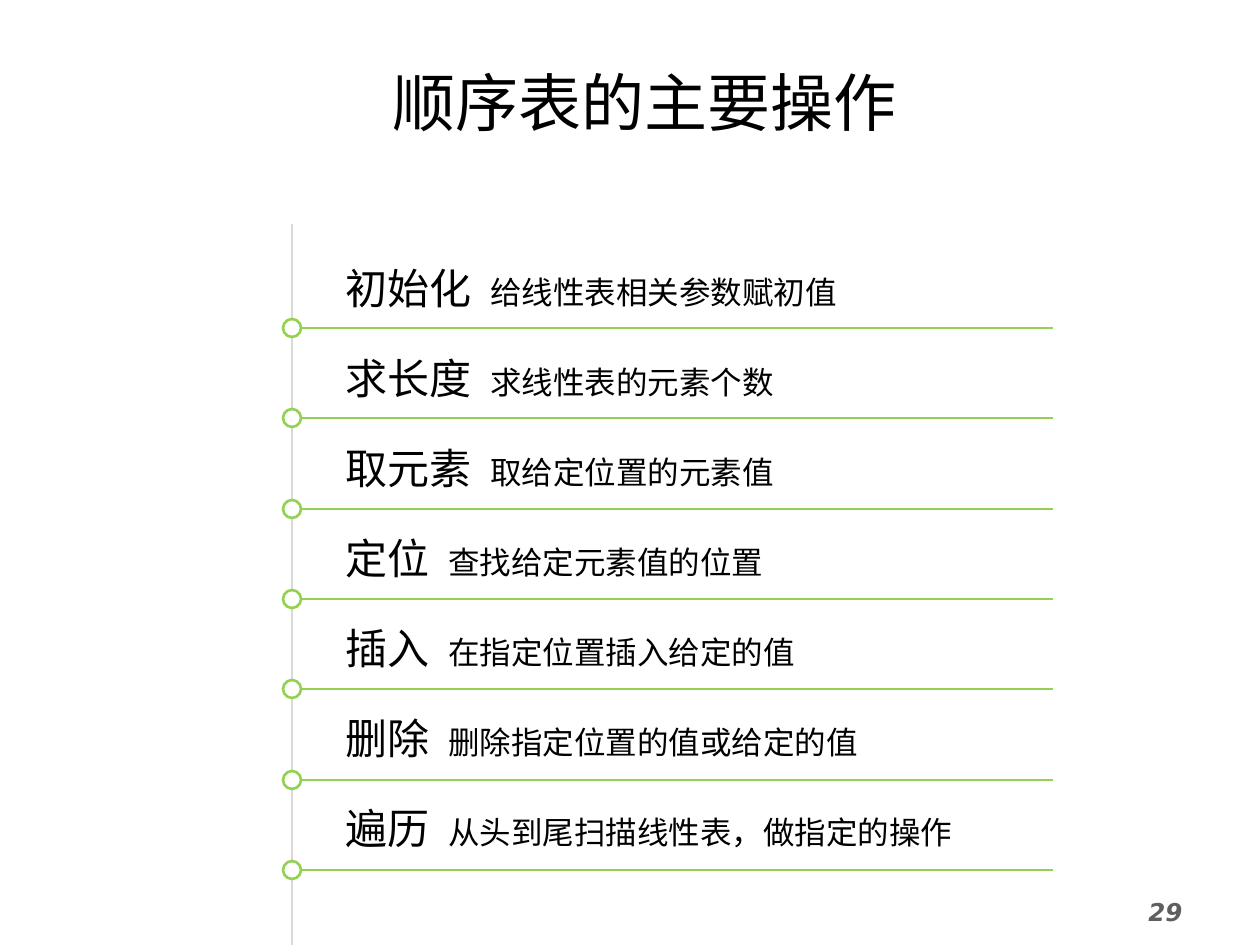
from lxml import etree
from pptx import Presentation
from pptx import util as u
from pptx.dml.color import RGBColor
from pptx.enum import shapes, text
from pptx.oxml.ns import qn

PX = 914400 / 126
GREEN, GREY, BLACK, WHITE = "93D151", "D9D9D9", "000000", "FFFFFF"
CJK = "Noto Sans CJK SC"

AXIS_X, LINE_END = 292, 1053
FIRST_LINE, LAST_LINE = 328, 870
FIRST_TEXT, TEXT_STEP = 256, 90
DOT = 18

OPERATIONS = [
    ("初始化", "给线性表相关参数赋初值"),
    ("求长度", "求线性表的元素个数"),
    ("取元素", "取给定位置的元素值"),
    ("定位", "查找给定元素值的位置"),
    ("插入", "在指定位置插入给定的值"),
    ("删除", "删除指定位置的值或给定的值"),
    ("遍历", "从头到尾扫描线性表，做指定的操作"),
]


def px(*lengths):
    return [u.Emu(round(length * PX)) for length in lengths]


def colour(value):
    return RGBColor.from_string(value)


def add_text(paragraph, words, size, font=CJK, fill=BLACK, bold=False, italic=False, spacing=0):
    run = paragraph.add_run()
    run.text = words
    run.font.size = u.Pt(size)
    run.font.name = font
    run.font.bold = bold
    run.font.italic = italic
    run.font.color.rgb = colour(fill)
    properties = run._r.get_or_add_rPr()
    etree.SubElement(properties, qn("a:ea")).set("typeface", CJK)
    if spacing:
        properties.set("spc", str(round(spacing * 100)))


def add_box(slide, left, top, width, height):
    shape = slide.shapes.add_textbox(*px(left, top, width, height))
    shape.text_frame.word_wrap = True
    return shape.text_frame.paragraphs[0]


def add_line(slide, start, end, stroke, weight):
    line = slide.shapes.add_connector(shapes.MSO_CONNECTOR.STRAIGHT, *px(*start, *end))
    line.line.color.rgb = colour(stroke)
    line.line.width = u.Pt(weight)
    etree.SubElement(line._element.spPr, qn("a:effectLst"))


def add_dot(slide, x, y):
    dot = slide.shapes.add_shape(
        shapes.MSO_SHAPE.OVAL, *px(x - DOT / 2, y - DOT / 2, DOT, DOT))
    dot.shadow.inherit = False
    dot.fill.solid()
    dot.fill.fore_color.rgb = colour(WHITE)
    dot.line.color.rgb = colour(GREEN)
    dot.line.width = u.Pt(1.5)


def add_title(slide, words):
    title = slide.shapes.title
    title.left, title.top, title.width, title.height = px(193, 57, 903, 88)
    title.text_frame.vertical_anchor = text.MSO_ANCHOR.MIDDLE
    paragraph = title.text_frame.paragraphs[0]
    paragraph.alignment = text.PP_ALIGN.CENTER
    add_text(paragraph, words, 36, font="Courier New")


def add_operation(slide, index, name, description):
    y = FIRST_LINE + round(index * (LAST_LINE - FIRST_LINE) / (len(OPERATIONS) - 1))
    add_line(slide, (LINE_END, y), (AXIS_X - DOT / 2, y), GREEN, 1.5)
    add_dot(slide, AXIS_X, y)
    paragraph = add_box(slide, 333, FIRST_TEXT + index * TEXT_STEP, 762, 63)
    add_text(paragraph, name, 24)
    add_text(paragraph, " ", 24, spacing=5.4)  # widened gap after the name
    add_text(paragraph, description, 18)


def main():
    presentation = Presentation()
    presentation.slide_width, presentation.slide_height = px(1260, 945)
    slide = presentation.slides.add_slide(presentation.slide_layouts[5])

    # Title and page number
    add_title(slide, "顺序表的主要操作")
    add_text(add_box(slide, 1136, 891, 124, 54), "29", 14, font="DejaVu Sans",
             fill="5F5F5F", bold=True, italic=True)

    # Timeline axis with one row for each operation
    add_line(slide, (AXIS_X, 224), (AXIS_X, 945), GREY, 1)
    for index, (name, description) in enumerate(OPERATIONS):
        add_operation(slide, index, name, description)

    presentation.save("out.pptx")


if __name__ == "__main__":
    main()
